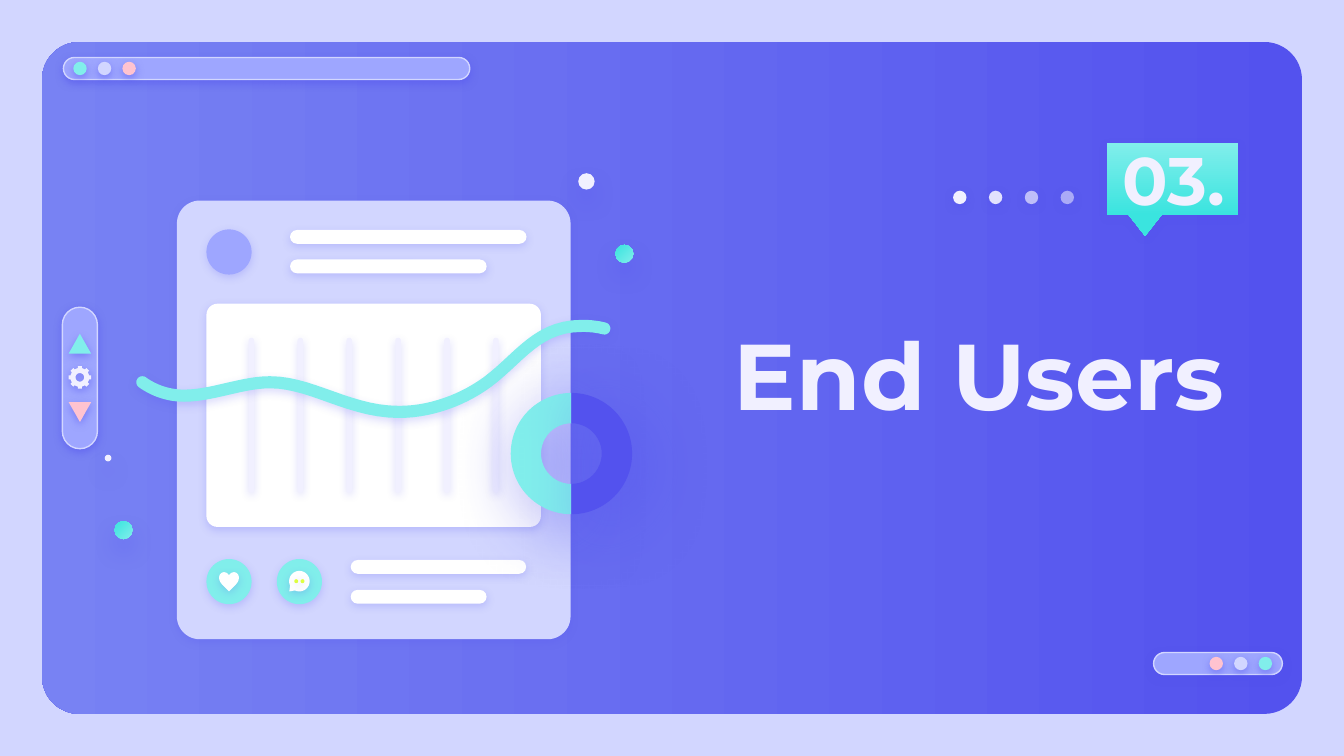
import math
from dataclasses import dataclass

import pptx
import pptx.dml.color
import pptx.enum.shapes
import pptx.enum.text
import pptx.oxml.ns
import pptx.util
from lxml import etree

Pt = pptx.util.Pt
SHAPE = pptx.enum.shapes.MSO_SHAPE
qn = pptx.oxml.ns.qn


@dataclass(frozen=True)
class Theme:
    indigo: str = "5352EE"
    periwinkle: str = "7882F3"
    lilac: str = "9EA6FF"
    mist: str = "D2D6FF"
    pale: str = "F1F0FF"
    white: str = "FFFFFF"
    mint: str = "81EEEB"
    teal: str = "3AE4DF"
    pink: str = "FFC3D0"
    lime: str = "DEFF3F"
    font: str = "Montserrat"
    title_size: float = 50
    number_size: float = 36
    outline: float = 0.75


THEME = Theme()

# Shadows: opacity %, blur, distance, direction in degrees
STRONG = (50, 4.5, 1.5, 90)
SOFT = (20, 4.5, 1.5, 90)
CALLOUT = (24, 4.5, 1.5, 90)
FLOATING = (38, 12.4, 6.8, 90)
WIDE = (67, 38.2, 9, 49)


# ---- Styling ----
def rgb(code):
    return pptx.dml.color.RGBColor.from_string(code)


def paint(shape, fill, shadow=None, outline=None, angle=0, opacity=100):
    """Fill with one colour, or with a pair as a gradient at a clockwise angle."""
    if isinstance(fill, tuple):
        shape.fill.gradient()
        shape.fill.gradient_angle = -angle % 360
        for stop, code in zip(shape.fill.gradient_stops, fill):
            stop.color.rgb = rgb(code)
    else:
        shape.fill.solid()
        shape.fill.fore_color.rgb = rgb(fill)
    if opacity < 100:
        color = shape.element.spPr.find(qn("a:solidFill")).find(qn("a:srgbClr"))
        etree.SubElement(color, qn("a:alpha"), val=str(opacity * 1000))
    if outline:
        shape.line.color.rgb = rgb(outline)
        shape.line.width = Pt(THEME.outline)
    else:
        shape.line.fill.background()
    shape.shadow.inherit = False
    if shadow:
        alpha, blur, distance, direction = shadow
        effects = shape.element.spPr.find(qn("a:effectLst"))
        outer = etree.SubElement(
            effects, qn("a:outerShdw"), blurRad=str(Pt(blur)), dist=str(Pt(distance)),
            dir=str(direction * 60000), algn="bl", rotWithShape="0")
        color = etree.SubElement(outer, qn("a:srgbClr"), val=THEME.indigo)
        etree.SubElement(color, qn("a:alpha"), val=str(alpha * 1000))


def write(box, text, size, anchor):
    frame = box.text_frame
    frame.text = text
    frame.word_wrap = True
    frame.auto_size = pptx.enum.text.MSO_AUTO_SIZE.NONE
    frame.vertical_anchor = anchor
    frame.margin_left = frame.margin_right = Pt(7.2)
    frame.margin_top = frame.margin_bottom = Pt(7.2)
    paragraph = frame.paragraphs[0]
    paragraph.alignment = pptx.enum.text.PP_ALIGN.RIGHT
    font = paragraph.runs[0].font
    font.name, font.size, font.bold = THEME.font, Pt(size), True
    font.color.rgb = rgb(THEME.pale)


# ---- Kinds of element ----
def preset(slide, kind, left, top, width, height, fill, shadow=None, adj=(), rotation=0, **style):
    shape = slide.shapes.add_shape(kind, Pt(left), Pt(top), Pt(width), Pt(height))
    for index, value in enumerate(adj):
        shape.adjustments[index] = value
    shape.rotation = rotation
    paint(shape, fill, shadow, **style)


def rounded(slide, left, top, width, height, fill, shadow=None, corner=0.5, **style):
    preset(slide, SHAPE.ROUNDED_RECTANGLE, left, top, width, height, fill, shadow, (corner,), **style)


def dot(slide, x, y, diameter, fill, shadow, **style):
    preset(slide, SHAPE.OVAL, x - diameter / 2, y - diameter / 2, diameter, diameter,
           fill, shadow, **style)


def outline(slide, contours, fill, shadow):
    scaled = [[(Pt(x), Pt(y)) for x, y in contour] for contour in contours]
    builder = slide.shapes.build_freeform(*scaled[0][0], scale=1.0)
    builder.add_line_segments(scaled[0][1:], close=True)
    for contour in scaled[1:]:
        builder.move_to(*contour[0])
        builder.add_line_segments(contour[1:], close=True)
    paint(builder.convert_to_shape(), fill, shadow)


# ---- Geometry ----
def polar(x, y, radius, degrees):
    turn = math.radians(degrees)
    return x + radius * math.cos(turn), y + radius * math.sin(turn)


def arc(x, y, radius, start, end, steps=36):
    return [polar(x, y, radius, start + (end - start) * i / steps) for i in range(steps + 1)]


def curve(points, steps=14):
    """Sample a chain of cubic curves that share their end points."""
    sampled = [points[0]]
    for first in range(0, len(points) - 1, 3):
        a, b, c, d = points[first:first + 4]
        for t in (i / steps for i in range(1, steps + 1)):
            u = 1 - t
            sampled.append(tuple(u**3 * p + 3 * u * u * t * q + 3 * u * t * t * r + t**3 * s
                                 for p, q, r, s in zip(a, b, c, d)))
    return sampled


def ribbon(center, radius):
    """Outline of a round-ended band along a centre line."""
    last = len(center) - 1
    headings = []
    for i in range(len(center)):
        (x0, y0), (x1, y1) = center[max(i - 1, 0)], center[min(i + 1, last)]
        headings.append(math.degrees(math.atan2(y1 - y0, x1 - x0)))
    sides = [[polar(*point, radius, heading + turn) for point, heading in zip(center, headings)]
             for turn in (-90, 90)]
    end_cap = arc(*center[-1], radius, headings[-1] - 90, headings[-1] + 90, 10)
    start_cap = arc(*center[0], radius, headings[0] + 90, headings[0] + 270, 10)
    return sides[0] + end_cap + sides[1][::-1] + start_cap


# ---- Parts of the slide ----
def window_bar(slide, left, top, width, first_dot, colors):
    rounded(slide, left, top, width, 11.8, THEME.lilac, STRONG, outline=THEME.mist)
    for index, color in enumerate(colors):
        dot(slide, first_dot + 13.15 * index, top + 5.9, 7.2, color, STRONG)


def post_card(slide):
    rounded(slide, 94.8, 107.5, 210.9, 235, THEME.mist, SOFT, 0.058)
    for left, top, width in ((155.4, 123.2, 126.7), (155.4, 139, 105.3),
                             (187.9, 300, 94), (187.9, 316, 72.8)):
        rounded(slide, left, top, width, 7.4, THEME.white, SOFT)
    dot(slide, 122.7, 135, 24.2, THEME.lilac, SOFT)

    # Comment and like buttons
    for x in (122.7, 160.4):
        dot(slide, x, 311.6, 24.2, THEME.mint, SOFT)
    bubble = arc(160.4, 311.4, 5.5, 155, 475) + [(155, 316.9)]
    outline(slide, [bubble], THEME.white, SOFT)
    for x in (158.7, 162.1):
        dot(slide, x, 311.4, 2.1, THEME.lime, SOFT)
    half = curve([(122.7, 308.2), (122, 307.2), (121.1, 306.6), (120.1, 306.6),
                  (118.5, 306.6), (117.4, 307.9), (117.4, 309.5),
                  (117.4, 312.1), (119.5, 313.7), (122.7, 316.8)])
    heart = half + [(2 * 122.7 - x, y) for x, y in half[-2:0:-1]]
    outline(slide, [heart], THEME.white, SOFT)

    # Chart panel with its bars and trend ribbon
    rounded(slide, 110.6, 162.7, 179.2, 119.6, THEME.white, SOFT, 0.05)
    for index in range(6):
        rounded(slide, 133.2 + 26.2 * index, 181, 3, 83, THEME.pale, SOFT)
    trend = curve([(76.3, 204.8), (82.8, 209.5), (90.7, 212), (98.6, 212),
                   (113.8, 212), (129.6, 204.8), (144.7, 204.8),
                   (167, 204.8), (187.2, 220.7), (213.8, 220.7),
                   (230.4, 220.7), (247.7, 214.6), (261.4, 204.5),
                   (278.6, 191.5), (288, 174.6), (311.8, 174.6),
                   (316, 174.6), (320, 175), (323.8, 176)])
    outline(slide, [ribbon(trend, 3.25)], THEME.mint, SOFT)

    # Ring in two halves
    for rotation, color in ((270, THEME.mint), (90, THEME.indigo)):
        preset(slide, SHAPE.BLOCK_ARC, 273.6, 210.5, 65, 65, color, WIDE, (108, 0, 0.25), rotation)

    # Floating dots
    for x, y, diameter, fill in ((334.5, 136, 9.6, (THEME.mint, THEME.teal)),
                                 (314.2, 97.2, 8.8, THEME.pale),
                                 (66.2, 284, 9.6, (THEME.mint, THEME.teal)),
                                 (57.9, 245.4, 3.6, THEME.pale)):
        dot(slide, x, y, diameter, fill, FLOATING, angle=225)


def control_pill(slide):
    rounded(slide, 33.4, 164.6, 18.8, 75.8, THEME.lilac, STRONG, outline=THEME.mist)
    for top, rotation, color in ((178.8, 0, THEME.mint), (215.5, 180, THEME.pink)):
        preset(slide, SHAPE.ISOSCELES_TRIANGLE, 36.8, top, 12, 10.6, color, STRONG, rotation=rotation)
    x, y = 42.8, 202.2
    teeth = [polar(x, y, radius, 45 * tooth + turn) for tooth in range(8)
             for radius, turn in ((5.1, -12), (6.1, -10), (6.1, 10), (5.1, 12))]
    outline(slide, [teeth, arc(x, y, 2.3, 360, 0)], THEME.pale, STRONG)


def main():
    deck = pptx.Presentation()
    deck.slide_width, deck.slide_height = Pt(720), Pt(405)
    slide = deck.slides.add_slide(deck.slide_layouts[5])
    slide.background.fill.solid()
    slide.background.fill.fore_color.rgb = rgb(THEME.mist)

    # Window frame
    rounded(slide, 22.5, 22.5, 675, 360, (THEME.indigo, THEME.periwinkle), corner=0.056, angle=180)
    window_bar(slide, 34, 30.8, 217.7, 42.9, (THEME.mint, THEME.mist, THEME.pink))
    window_bar(slide, 618, 349.6, 69, 651.6, (THEME.pink, THEME.mist, THEME.mint))

    # Section number and title
    preset(slide, SHAPE.ROUNDED_RECTANGULAR_CALLOUT, 593, 76.7, 70.2, 38.5,
           (THEME.mint, THEME.teal), CALLOUT, (-0.209, 0.79, 0), angle=90)
    title = slide.shapes.title
    title.left, title.top, title.width, title.height = Pt(344.2), Pt(149), Pt(319), Pt(102.2)
    title.element.getparent().append(title.element)
    write(title, "End Users", THEME.title_size, pptx.enum.text.MSO_ANCHOR.MIDDLE)
    number = slide.shapes.add_textbox(Pt(547), Pt(86.4), Pt(116.5), Pt(38.2))
    write(number, "03.", THEME.number_size, pptx.enum.text.MSO_ANCHOR.BOTTOM)

    # Illustration
    post_card(slide)
    for index, opacity in enumerate((100, 90, 67, 54)):
        dot(slide, 514.2 + 19.2 * index, 105.8, 7.2, THEME.pale, STRONG, opacity=opacity)
    control_pill(slide)

    deck.save("out.pptx")


if __name__ == "__main__":
    main()
